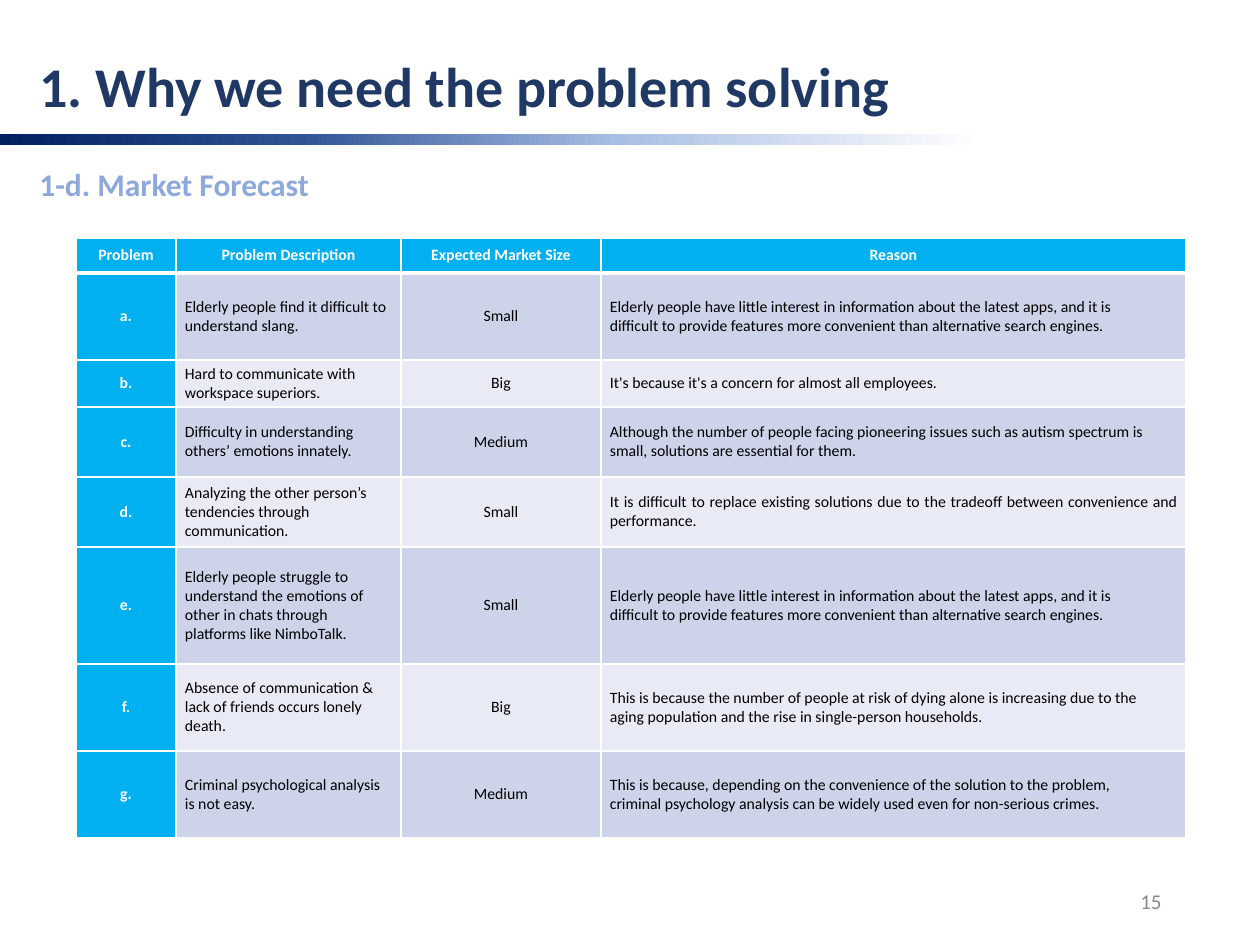
import lxml.etree
import pptx
import pptx.dml.color
import pptx.enum.shapes
import pptx.enum.text
import pptx.oxml
import pptx.oxml.ns
import pptx.util

PX = 914400 / 126
FONT = "Calibri"
COLORS = {
    "title": "1F3864", "subtitle": "8DA9DB", "number": "888888",
    "accent": "00B0F0", "odd": "CDD4EA", "even": "E8EBF5",
    "white": "FFFFFF", "black": "000000",
}
BAR_STOPS = [(0, "002060"), (24, "2F5496"), (49, "A9BEE4"), (78, "FFFFFF"), (100, "FFFFFF")]
NS = pptx.oxml.ns.nsdecls("a")
ALIGN = pptx.enum.text.PP_ALIGN
ANCHOR = pptx.enum.text.MSO_ANCHOR


def box(left, top, width, height):
    """Turn px lengths into EMU."""
    return [round(v * PX) for v in (left, top, width, height)]


def set_text(tf, text, size, color, bold=False, align=ALIGN.LEFT):
    tf.text = text
    tf.word_wrap = True
    for p in tf.paragraphs:
        p.alignment = align
        for r in p.runs:
            r.font.name = FONT
            r.font.size = pptx.util.Pt(size)
            r.font.bold = bold
            r.font.color.rgb = pptx.dml.color.RGBColor.from_string(COLORS[color])


prs = pptx.Presentation()
prs.slide_width, prs.slide_height = box(0, 0, 1260, 945)[2:]
s = prs.slides.add_slide(prs.slide_layouts[5])

# Gradient bar under the title
bar = s.shapes.add_shape(pptx.enum.shapes.MSO_SHAPE.RECTANGLE, *box(-1, 134, 1260, 11))
bar.shadow.inherit = False
bar.line.fill.background()
bar.fill.gradient()
bar.fill.gradient_angle = 0
stops = bar._element.spPr.find(".//" + pptx.oxml.ns.qn("a:gsLst"))
for stop in list(stops):
    stops.remove(stop)
for pos, color in BAR_STOPS:
    stops.append(pptx.oxml.parse_xml(
        f'<a:gs {NS} pos="{pos * 1000}"><a:srgbClr val="{color}"/></a:gs>'))

# Title, subtitle and page number
title = s.shapes.title
title.left, title.top, title.width, title.height = box(27, 45, 975, 81)
title.text_frame.vertical_anchor = ANCHOR.TOP
set_text(title.text_frame, "1. Why we need the problem solving", 32, "title", True)
title.text_frame.auto_size = pptx.enum.text.MSO_AUTO_SIZE.SHAPE_TO_FIT_TEXT

subtitle = s.shapes.add_textbox(*box(27, 159, 771, 50))
set_text(subtitle.text_frame, "1-d. Market Forecast", 18, "subtitle", True)

number = s.shapes.add_textbox(*box(890, 876, 284, 50))
number.text_frame.vertical_anchor = ANCHOR.MIDDLE
set_text(number.text_frame, "15", 12, "number", align=ALIGN.RIGHT)

# Forecast table: a line break in the text starts a new paragraph
ELDERLY_REASON = (
    "Elderly people have little interest in information about the latest apps, and it is\n"
    "difficult to provide features more convenient than alternative search engines.")
ROWS = [
    ("Problem", "Problem Description", "Expected Market Size", "Reason"),
    ("a.", "Elderly people find it difficult to understand slang.", "Small", ELDERLY_REASON),
    ("b.", "Hard to communicate with\nworkspace superiors.", "Big",
     "It's because it's a concern for almost all employees."),
    ("c.", "Difficulty in understanding others’ emotions innately.", "Medium",
     "Although the number of people facing pioneering issues such as autism spectrum is\n"
     "small, solutions are essential for them."),
    ("d.", "Analyzing the other person’s\ntendencies through communication.", "Small",
     "It is difficult to replace existing solutions due to the tradeoff between "
     "convenience and performance."),
    ("e.", "Elderly people struggle to\nunderstand the emotions of\nother in chats through\n"
     "platforms like NimboTalk.", "Small", ELDERLY_REASON),
    ("f.", "Absence of communication &\nlack of friends occurs lonely\ndeath.", "Big",
     "This is because the number of people at risk of dying alone is increasing due to the\n"
     "aging population and the rise in single-person households."),
    ("g.", "Criminal psychological analysis\nis not easy.", "Medium",
     "This is because, depending on the convenience of the solution to the problem,\n"
     "criminal psychology analysis can be widely used even for non-serious crimes."),
]
COL_WIDTHS = [100, 225, 200, 585]
ROW_HEIGHTS = [35, 87, 47, 70, 70, 117, 87, 87]
COL_ALIGN = [ALIGN.CENTER, ALIGN.LEFT, ALIGN.CENTER, ALIGN.JUSTIFY]

table = s.shapes.add_table(len(ROWS), len(COL_WIDTHS),
                           *box(76, 238, sum(COL_WIDTHS), sum(ROW_HEIGHTS))).table
for col, width in zip(table.columns, COL_WIDTHS):
    col.width = round(width * PX)
for row, height in zip(table.rows, ROW_HEIGHTS):
    row.height = round(height * PX)

for i, texts in enumerate(ROWS):
    for j, text in enumerate(texts):
        cell = table.cell(i, j)
        heading = i == 0 or j == 0
        cell.vertical_anchor = ANCHOR.MIDDLE
        cell.margin_left = cell.margin_right = round(9 * PX)
        cell.margin_top = cell.margin_bottom = 0
        set_text(cell.text_frame, text, 9, "white" if heading else "black", heading,
                 ALIGN.CENTER if i == 0 else COL_ALIGN[j])

        tcPr = cell._tc.get_or_add_tcPr()
        for side in "LRTB":
            thick = (i, side) in [(0, "B"), (1, "T")]
            tcPr.append(pptx.oxml.parse_xml(
                f'<a:ln{side} {NS} w="{pptx.util.Pt(3 if thick else 1)}"><a:solidFill>'
                f'<a:srgbClr val="{COLORS["white"]}"/></a:solidFill></a:ln{side}>'))
        fill = "accent" if heading else "odd" if i % 2 else "even"
        cell.fill.solid()
        cell.fill.fore_color.rgb = pptx.dml.color.RGBColor.from_string(COLORS[fill])

prs.save("out.pptx")
